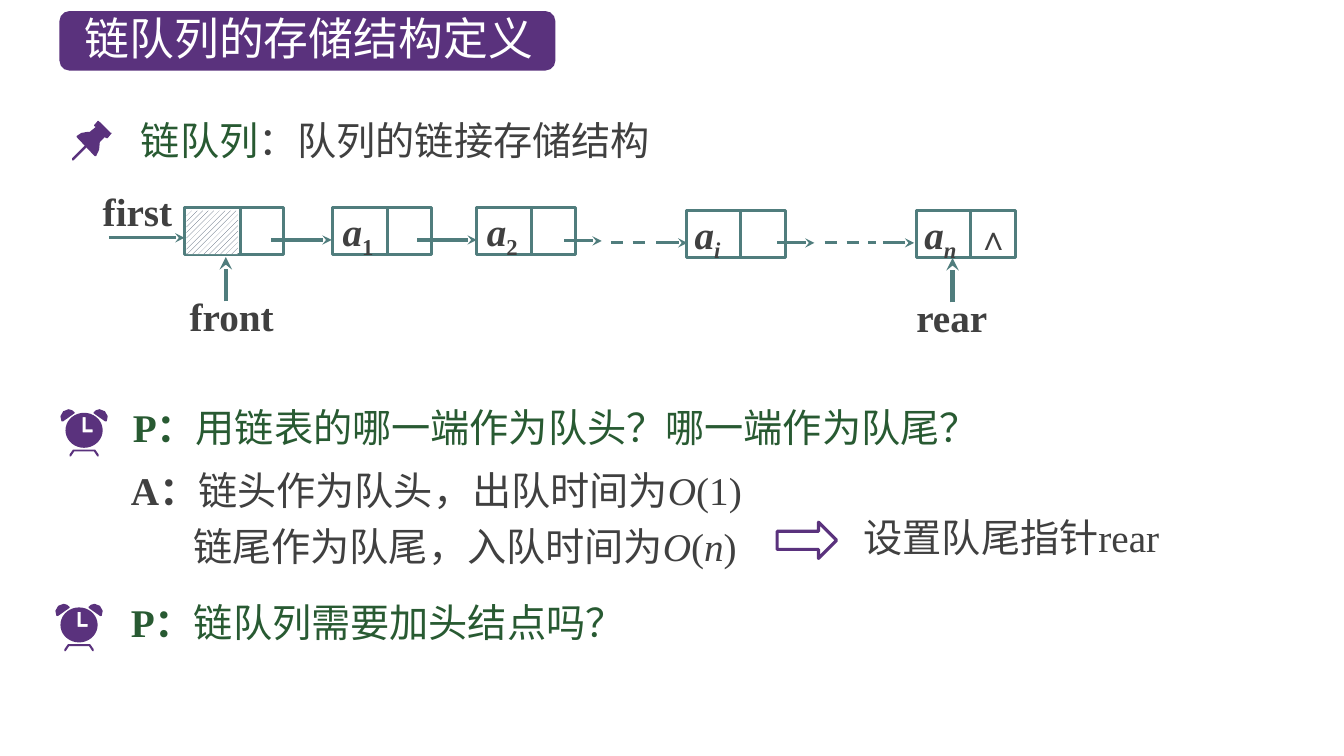
import math
import pptx
import pptx.util
import pptx.dml.color
import pptx.enum.dml
import pptx.enum.shapes
import pptx.enum.text
import lxml.etree
import pptx.oxml.ns

Pt = pptx.util.Pt
Shape = pptx.enum.shapes.MSO_SHAPE
Anchor = pptx.enum.text.MSO_ANCHOR
Align = pptx.enum.text.PP_ALIGN


class Theme:
    purple, teal, green = "5A327D", "507D7D", "285A32"
    ink, white, slate = "404040", "FFFFFF", "44546A"
    latin, han = "Times New Roman", "Noto Sans CJK SC"
    head, body, sign = 32, 28, 24
    thin, bold = 2.25, 3


TITLE = "链队列的存储结构定义"
PAD = (7.2, 3.6, 7.2, 3.6)

# style letters: b bold, i italic, s subscript, g green
NOTES = [
    ((93.6, 79.2, 444, 41), [[("链队列", "g"), ("：队列的链接存储结构", "")]]),
    ((87.8, 284.4, 756, 41), [[("P：", "bg"), ("用链表的哪一端作为队头？哪一端作为队尾？", "g")]]),
    ((86.4, 323.3, 790, 87.8), [
        [("A：", "b"), ("链头作为队头，出队时间为", ""), ("O", "i"), ("(1)", "")],
        [("链尾作为队尾，入队时间为", ""), ("O", "i"), ("(", ""), ("n", "i"), (")", "")],
    ]),
    ((86.4, 424.1, 451, 41), [[("P：", "bg"), ("链队列需要加头结点吗？", "g")]]),
    ((609.8, 362.9, 256, 41), [[("设置队尾指针rear", "")]]),
]
LABELS = [
    ("first", 73.4, 133.9, 1),
    ("front", 135.4, 215.3, 0.8),
    ("rear", 654.5, 216, 0.8),
]
NODES = [
    (131.8, 148.3, 40.3, 0, None),
    (237.6, 148.3, 38.9, 7.2, ("1", "bs")),
    (340.6, 148.3, 38.9, 7.2, ("2", "bs")),
    (490.3, 150.5, 38.9, 5.8, ("i", "bis")),
    (654.5, 150.5, 38.9, 5.8, ("n", "bis")),
]
NODE = (70.6, 33.8)
FLOW = [
    (77.8, 131.8, 169.9), (193.7, 236.9, 171.4), (298.1, 340.6, 171.4),
    (403.2, 429.8, 172.1), (468.7, 491, 173.5), (555.1, 581.8, 173.5),
    (630.7, 653, 173.5),
]
GAPS = [(436.3, 462.2, 173.5), (589, 625.7, 173.5)]
ENDS = [(161.3, 215.3, 183.6), (680.4, 216, 184.3)]

PIN = [
    [(79.2, 95), (70.5, 86.4), (69.8, 86.4), (67.3, 89.3), (67.3, 90), (68.4, 90.7),
     (64, 94.3), (61.9, 94.3), (58, 95), (54.7, 97.2), (54.7, 97.9), (67.7, 111.6),
     (68.6, 111.6), (70.8, 107), (71.3, 101.5), (74.9, 97.9), (75.6, 98.6), (77, 98.6),
     (79.2, 95.8), (79.9, 95)],
    [(51.5, 114.5), (51.5, 113), (61.2, 103.4), (62.2, 103.7), (62.2, 104.8), (52.6, 114.5)],
]
CLOCKS = [(43.2, 292.3), (39.6, 431.3)]
BELL = [(5.8, 0), (2, 1.5), (0, 5), (0.7, 8.6), (1.8, 8.8), (10.1, 2.9), (10.1, 2.2), (8.3, 0.7)]
FEET = [(6.5, 32.4), (9, 28.8), (24.8, 28.8), (27.3, 32.4), (27.3, 33.8), (26.4, 33.8),
        (24, 30.2), (9.8, 30.2), (7.4, 33.8), (6.5, 33.8)]
HANDS = [(15.8, 5.8), (18, 5.8), (18, 14.4), (23, 14.4), (23, 16.6), (15.8, 16.6)]
WIDE = 33.8
FACE = [(16.9 + 13.3 * math.cos(math.radians(a)), 15.1 + 12.5 * math.sin(math.radians(a)))
        for a in range(0, 360, 10)]

deck = pptx.Presentation()
deck.slide_width, deck.slide_height = Pt(960), Pt(540)
slide = deck.slides.add_slide(deck.slide_layouts[5])
shapes = slide.shapes


def rgb(code):
    return pptx.dml.color.RGBColor.from_string(code)


def sub(node, tag, **keys):
    return lxml.etree.SubElement(node, pptx.oxml.ns.qn(tag), **keys)


def style(para, size, color, name=Theme.latin):
    font = para.font
    font.size, font.name, font.color.rgb = Pt(size), name, rgb(color)
    sub(font._element, "a:ea", typeface=Theme.han)


def frame(shape, pad, anchor=Anchor.TOP):
    box = shape.text_frame
    box.word_wrap = True
    box.vertical_anchor = anchor
    box.margin_left, box.margin_top, box.margin_right, box.margin_bottom = map(Pt, pad)
    return box


def write(para, runs, size=Theme.body):
    para.alignment = Align.LEFT
    style(para, size, Theme.ink)
    for text, marks in runs:
        run = para.add_run()
        run.text = text
        run.font.bold = "b" in marks
        run.font.italic = "i" in marks
        if "g" in marks:
            run.font.color.rgb = rgb(Theme.green)
        if "s" in marks:
            run.font._element.set("baseline", "-25000")


def text(spot, pad=PAD):
    return frame(shapes.add_textbox(*map(Pt, spot)), pad)


def block(kind, spot, fill=None, line=None):
    shape = shapes.add_shape(kind, *map(Pt, spot))
    shape.shadow.inherit = False
    if fill:
        shape.fill.solid()
        shape.fill.fore_color.rgb = rgb(fill)
    else:
        shape.fill.background()
    if line:
        shape.line.color.rgb = rgb(line)
        shape.line.width = Pt(Theme.thin)
    else:
        shape.line.fill.background()
    return shape


def stroke(x1, y1, x2, y2, width=Theme.thin, head=False, dash=False):
    line = shapes.add_connector(pptx.enum.shapes.MSO_CONNECTOR.STRAIGHT, *map(Pt, (x1, y1, x2, y2)))
    line.line.color.rgb = rgb(Theme.teal)
    line.line.width = Pt(width)
    if dash:
        line.line.dash_style = pptx.enum.dml.MSO_LINE.DASH
    if head:
        sub(line.line._get_or_add_ln(), "a:tailEnd", type="stealth")
    sub(line._element.spPr, "a:effectLst")


def outline(*loops, left=0, top=0):
    rings = [[(Pt(left + x), Pt(top + y)) for x, y in loop] for loop in loops]
    pen = shapes.build_freeform(*rings[0][0])
    pen.add_line_segments(rings[0][1:])
    for ring in rings[1:]:
        pen.move_to(*ring[0])
        pen.add_line_segments(ring[1:])
    shape = pen.convert_to_shape()
    shape.shadow.inherit = False
    shape.fill.solid()
    shape.fill.fore_color.rgb = rgb(Theme.purple)
    shape.line.fill.background()


title = shapes.title
title.left, title.top, title.width, title.height = map(Pt, (52.6, 3.6, 336.2, 46.1))
box = frame(title, PAD, Anchor.MIDDLE)
box.text = TITLE
box.paragraphs[0].alignment = Align.CENTER
style(box.paragraphs[0], Theme.head, Theme.white, Theme.han)
badge = block(Shape.ROUNDED_RECTANGLE, (42.5, 7.9, 354.2, 42.5), Theme.purple)
title._element.addprevious(badge._element)

for left, top, split, inset, mark in NODES:
    cell = block(Shape.RECTANGLE, (left, top, *NODE), line=Theme.teal)
    if mark:
        para = frame(cell, (inset, 0, 0, 5.8)).paragraphs[0]
        para.line_spacing = 0.9
        write(para, [("a", "bi"), mark])
    stroke(left + split, top, left + split, top + NODE[1])

hatch = block(Shape.RECTANGLE, (133.2, 150.5, 36.7, 31))
hatch.fill.patterned()
hatch.fill.pattern = pptx.enum.dml.MSO_PATTERN.WIDE_UPWARD_DIAGONAL
hatch.fill.fore_color.rgb = rgb(Theme.slate)
hatch.fill.back_color.rgb = rgb(Theme.white)
write(text((690.5, 151.2, 35.3, 36)).paragraphs[0], [("∧", "b")], Theme.sign)

for start, stop, y in FLOW:
    stroke(start, y, stop, y, head=True)
for start, stop, y in GAPS:
    stroke(start, y, stop, y, dash=True)
for x, low, high in ENDS:
    stroke(x, low, x, high, Theme.bold, head=True)
for word, left, top, pitch in LABELS:
    para = text((left, top, 61.2, 25.2), (0, 0, 0, 0)).paragraphs[0]
    para.line_spacing = pitch
    write(para, [(word, "b")])

for spot, lines in NOTES:
    box = text(spot)
    for i, runs in enumerate(lines):
        para = box.add_paragraph() if i else box.paragraphs[0]
        if len(lines) > 1:
            para.line_spacing = Pt(40)
        if i:
            para._p.get_or_add_pPr().set("marL", str(Pt(44.5)))
        write(para, runs)

block(Shape.RIGHT_ARROW, (555.1, 373, 42.5, 25.9), line=Theme.purple)
for loop in PIN:
    outline(loop)
for left, top in CLOCKS:
    for loops in ([FEET], [BELL], [[(WIDE - x, y) for x, y in BELL]], [FACE, HANDS]):
        outline(*loops, left=left, top=top)
deck.save("out.pptx")
